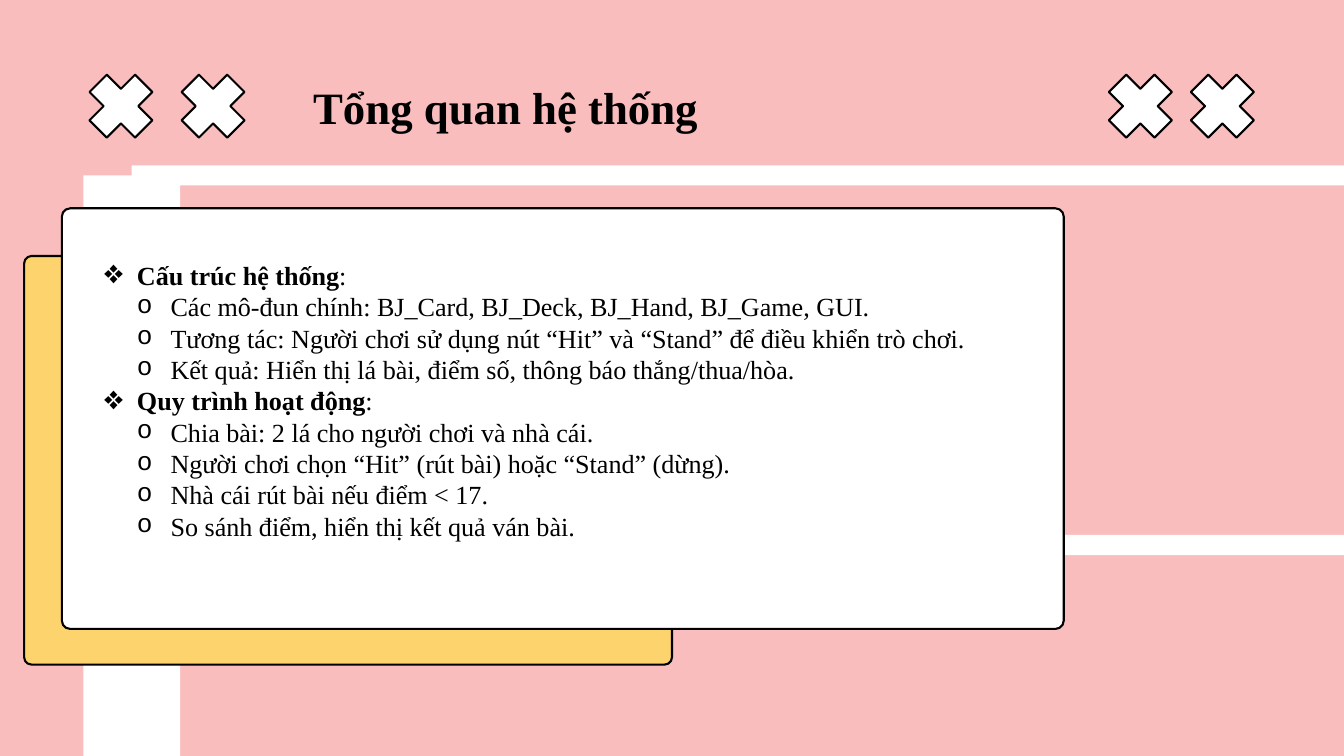
from dataclasses import dataclass

from lxml.etree import SubElement
from pptx import Presentation
from pptx.dml.color import RGBColor
from pptx.enum.shapes import MSO_SHAPE
from pptx.enum.text import MSO_ANCHOR, MSO_AUTO_SIZE, PP_ALIGN
from pptx.oxml.ns import qn
from pptx.util import Inches, Pt


@dataclass(frozen=True)
class Theme:
    pink: RGBColor = RGBColor(0xF9, 0xBD, 0xBD)
    yellow: RGBColor = RGBColor(0xFD, 0xD3, 0x6D)
    white: RGBColor = RGBColor(0xFF, 0xFF, 0xFF)
    black: RGBColor = RGBColor(0, 0, 0)
    font: str = "Times New Roman"
    title_size: Pt = Pt(48)
    body_size: Pt = Pt(28)
    body_leading: Pt = Pt(33.6)
    outline: Pt = Pt(2.25)


THEME = Theme()
WIDTH, HEIGHT = 20, 11.25
BULLETS = (("❖", "Times New Roman"), ("o", "Courier New"))
SECTIONS = (
    ("Cấu trúc hệ thống", (
        "Các mô-đun chính: BJ_Card, BJ_Deck, BJ_Hand, BJ_Game, GUI.",
        "Tương tác: Người chơi sử dụng nút “Hit” và “Stand” để điều khiển trò chơi.",
        "Kết quả: Hiển thị lá bài, điểm số, thông báo thắng/thua/hòa.",
    )),
    ("Quy trình hoạt động", (
        "Chia bài: 2 lá cho người chơi và nhà cái.",
        "Người chơi chọn “Hit” (rút bài) hoặc “Stand” (dừng).",
        "Nhà cái rút bài nếu điểm < 17.",
        "So sánh điểm, hiển thị kết quả ván bài.",
    )),
)


def place(shape, left, top, width, height):
    shape.left, shape.top = Inches(left), Inches(top)
    shape.width, shape.height = Inches(width), Inches(height)


def set_font(run, size, bold):
    run.font.name = THEME.font
    run.font.size = size
    run.font.bold = bold
    run.font.color.rgb = THEME.black


def add_outlined(slide, preset, left, top, width, height, fill, adjustment):
    outlined = slide.shapes.add_shape(
        preset, Inches(left), Inches(top), Inches(width), Inches(height))
    outlined.adjustments[0] = adjustment
    outlined.shadow.inherit = False
    outlined.fill.solid()
    outlined.fill.fore_color.rgb = fill
    outlined.line.color.rgb = THEME.black
    outlined.line.width = THEME.outline
    return outlined


def add_grid(slide, left, top, right, bottom):
    bar, rule, pitch = 1.44, 0.3, 5.5
    inner = left + bar
    corner = left + bar / 2
    second = top + pitch
    points = [
        (right, top), (corner, top), (corner, top + rule / 2), (left, top + rule / 2),
        (left, bottom), (inner, bottom),
        (inner, second + rule), (right, second + rule), (right, second), (inner, second),
        (inner, top + rule), (right, top + rule),
    ]
    corners = [(Inches(x), Inches(y)) for x, y in points]
    builder = slide.shapes.build_freeform(*corners[0], scale=1.0)
    builder.add_line_segments(corners[1:], close=True)
    grid = builder.convert_to_shape()
    grid.shadow.inherit = False
    grid.fill.solid()
    grid.fill.fore_color.rgb = THEME.white
    grid.line.fill.background()


def add_header(slide, left, top, size):
    for offset in (0, 1.37, 15.17, 16.39):
        cross = add_outlined(slide, MSO_SHAPE.CROSS, left + offset, top, size, size,
                             THEME.white, 0.31)
        cross.rotation = 45

    title = slide.shapes.title
    place(title, left + 3.34, top + 0.08, 10.64, 0.81)
    frame = title.text_frame
    frame.text = "Tổng quan hệ thống"
    frame.auto_size = MSO_AUTO_SIZE.NONE
    frame.vertical_anchor = MSO_ANCHOR.TOP
    frame.margin_left = frame.margin_right = frame.margin_top = frame.margin_bottom = 0
    heading = frame.paragraphs[0]
    heading.alignment = PP_ALIGN.JUSTIFY
    set_font(heading.runs[0], THEME.title_size, True)


def format_item(paragraph, level):
    paragraph.level = level
    paragraph.alignment = PP_ALIGN.JUSTIFY
    paragraph.line_spacing = THEME.body_leading
    properties = paragraph._p.get_or_add_pPr()
    properties.set("marL", str(Inches(0.5 * (level + 1))))
    properties.set("indent", str(Inches(-0.5)))
    mark, font = BULLETS[level]
    SubElement(properties, qn("a:buFont")).set("typeface", font)
    SubElement(properties, qn("a:buChar")).set("char", mark)
    for run in paragraph.runs:
        set_font(run, THEME.body_size, False)


def add_overview(slide, left, top, width, height):
    rounded = MSO_SHAPE.ROUNDED_RECTANGLE
    add_outlined(slide, rounded, left - 0.56, top + 0.71, 9.64, 6.08, THEME.yellow, 0.018)
    add_outlined(slide, rounded, left, top, width, height, THEME.white, 0.02)

    overview = slide.shapes.add_textbox(0, 0, 0, 0)
    place(overview, left + 0.52, top + 0.71, 13.64, 4.81)
    frame = overview.text_frame
    frame.word_wrap = True
    for index, (heading, items) in enumerate(SECTIONS):
        paragraph = frame.add_paragraph() if index else frame.paragraphs[0]
        paragraph.text = heading
        paragraph.add_run().text = ": "
        format_item(paragraph, 0)
        paragraph.runs[0].font.bold = True
        for item in items:
            paragraph = frame.add_paragraph()
            paragraph.text = item
            format_item(paragraph, 1)


def main():
    presentation = Presentation()
    presentation.slide_width, presentation.slide_height = Inches(WIDTH), Inches(HEIGHT)
    slide = presentation.slides.add_slide(presentation.slide_layouts.get_by_name("Title Only"))
    slide.background.fill.solid()
    slide.background.fill.fore_color.rgb = THEME.pink
    add_grid(slide, 1.24, 2.46, WIDTH, HEIGHT)
    add_overview(slide, 0.92, 3.1, 14.91, 6.26)
    add_header(slide, 1.32, 1.1, 0.96)
    presentation.save("out.pptx")


if __name__ == "__main__":
    main()
